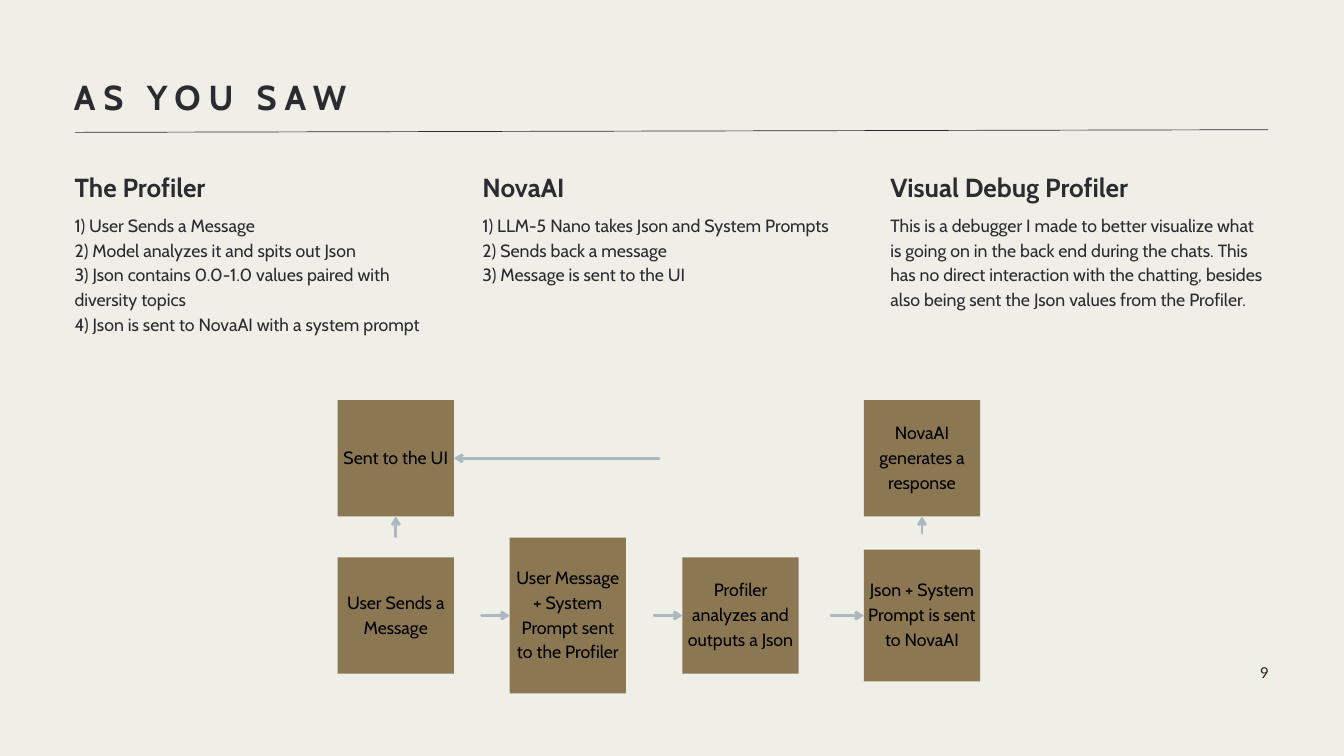
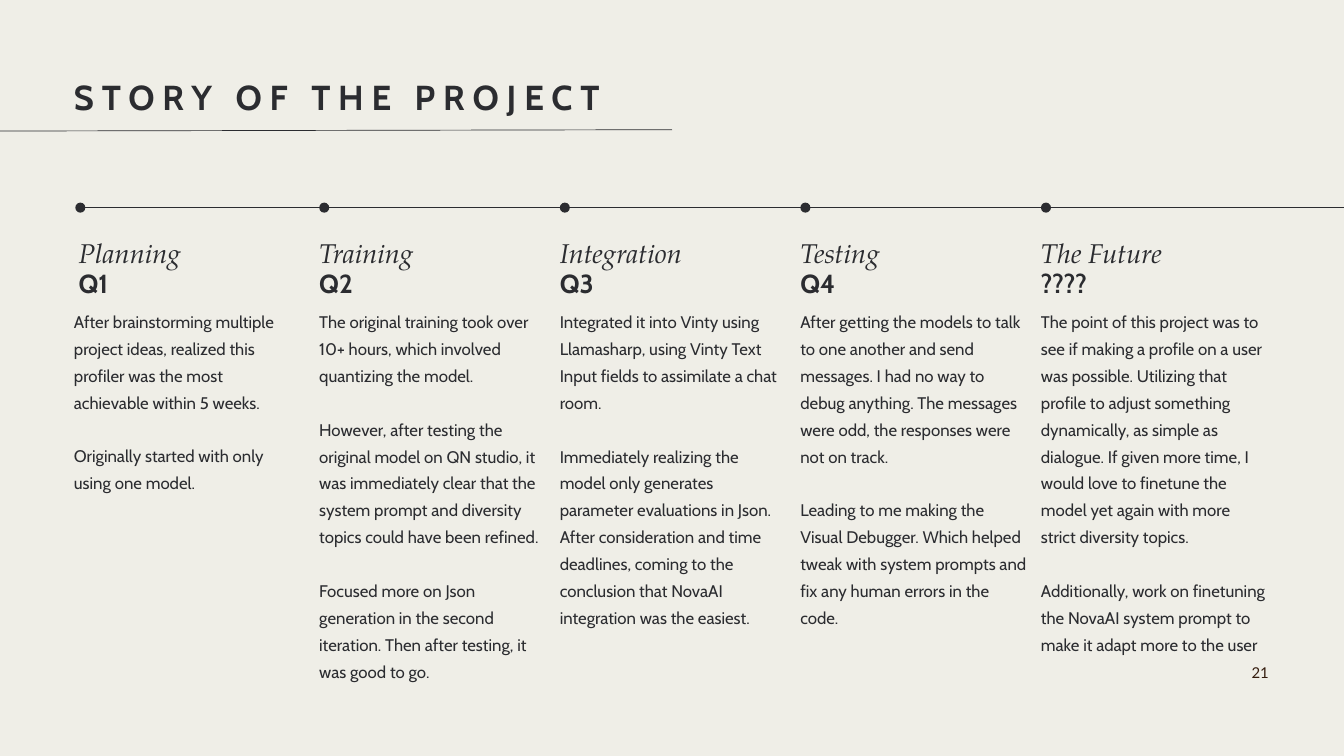
from lxml import etree
from pptx import Presentation
from pptx.dml.color import RGBColor
from pptx.enum.shapes import MSO_CONNECTOR as CONN, MSO_SHAPE as SHAPE
from pptx.enum.text import MSO_ANCHOR as ANCHOR, MSO_AUTO_SIZE as AUTO, PP_ALIGN as ALIGN
from pptx.oxml.ns import qn
from pptx.util import Inches, Pt

# The grid has 20 columns and 11.25 rows, each cell one inch square
COLS, ROWS = 20, 11.25
LEFT, RIGHT = 1.1, 18.87
RULE_START, RULE_END = 1.97, 1.93

PAPER, INK, BROWN, STEEL, NUMBER, BLACK = (
    "EFEEE7", "2B2C30", "8C7753", "ACB8C0", "331B0D", "000000")

# Text styles: font, size, line spacing, extras
TITLE = dict(font="Cabin", size=37.1, line=52, bold=True, track=840)
HEAD = dict(font="Cabin", size=28, line=39.2, bold=True)
NOTE = dict(font="Cabin", size=19, line=26.6)
STAGE = dict(font="TeX Gyre Pagella", size=29, line=34.8, italic=True)
QUARTER = dict(font="Cabin", size=28, line=33.6, bold=True)
STORY = dict(font="Cabin", size=18, line=28.8, gap=28.8)
PAGE = dict(font="Lato", size=16, line=22.4, color=NUMBER, align=ALIGN.RIGHT)
LABEL = dict(NOTE, color=BLACK, align=ALIGN.CENTER)

BOTTOM, LEFT_SIDE, RIGHT_SIDE = 2, 1, 3  # connection sites of a rectangle


def rgb(value):
    return RGBColor.from_string(value)


def cells(*values):
    return [Inches(v) for v in values]


def write(tf, text, font, size, line, color=INK, bold=False, italic=False,
          track=None, gap=0, align=ALIGN.LEFT):
    """Fill a text frame, one paragraph to a line of text."""
    tf.word_wrap = True
    tf.text = text
    for i, p in enumerate(tf.paragraphs):
        p.alignment = align
        p.line_spacing = Pt(line)
        if i and gap:
            p.space_before = Pt(gap)
        for r in p.runs:
            f = r.font
            f.name, f.size, f.bold, f.italic = font, Pt(size), bold, italic
            f.color.rgb = rgb(color)
            if track:
                r._r.get_or_add_rPr().set("spc", str(track))


def set_margins(tf, left, top, right, bottom):
    (tf.margin_left, tf.margin_top,
     tf.margin_right, tf.margin_bottom) = cells(left, top, right, bottom)


def add_text(s, col, row, width, height, text, style):
    tf = s.shapes.add_textbox(*cells(col, row, width, height)).text_frame
    set_margins(tf, 0, 0, 0, 0)
    write(tf, text, **style)
    tf.auto_size = AUTO.SHAPE_TO_FIT_TEXT


def add_solid(s, kind, col, row, width, height, color):
    sp = s.shapes.add_shape(kind, *cells(col, row, width, height))
    sp.shadow.inherit = False
    sp.fill.solid()
    sp.fill.fore_color.rgb = rgb(color)
    sp.line.fill.background()
    return sp


def add_line(s, x1, y1, x2, y2, color=INK, width=0.75):
    cx = s.shapes.add_connector(CONN.STRAIGHT, *cells(x1, y1, x2, y2))
    cx.line.color.rgb = rgb(color)
    cx.line.width = Pt(width)
    etree.SubElement(cx._element.spPr, qn("a:effectLst"))
    return cx


def add_step(s, center, middle, height, text, width=1.73):
    """A brown square of the flow, named by its centre."""
    sp = add_solid(s, SHAPE.RECTANGLE, center - width / 2, middle - height / 2,
                   width, height, BROWN)
    tf = sp.text_frame
    set_margins(tf, 0.06, 0.06, 0.06, 0.14)
    tf.vertical_anchor = ANCHOR.MIDDLE
    write(tf, text, **LABEL)
    return sp


def add_arrow(s, step, side, length):
    """An arrow of the given length that points straight at a side of a step."""
    x, y = step.left + step.width // 2, step.top + step.height // 2
    dx, dy = {BOTTOM: (0, 1), LEFT_SIDE: (-1, 0), RIGHT_SIDE: (1, 0)}[side]
    x += dx * (step.width // 2 + Inches(length))
    y += dy * (step.height // 2 + Inches(length))
    cx = add_line(s, x.inches if hasattr(x, "inches") else x / Inches(1),
                  y / Inches(1), x / Inches(1), y / Inches(1), STEEL, 3)
    cx.end_connect(step, side)
    ln = cx.line._get_or_add_ln()
    ln.set("cap", "rnd")
    etree.SubElement(ln, qn("a:tailEnd"), type="arrow")


def add_base(prs, title, number, rule):
    """Background, title, rule and page number shared by both slides."""
    s = prs.slides.add_slide(prs.slide_layouts[6])
    s.background.fill.solid()
    s.background.fill.fore_color.rgb = rgb(PAPER)
    add_text(s, LEFT, 1.03, 17.75, 0.71, title, TITLE)
    add_line(s, *rule)
    add_text(s, 13.89, 9.83, 4.99, 0.3, number, PAGE)
    return s


def build_flow(prs):
    s = add_base(prs, "AS YOU SAW", "9", (1.12, RULE_START, RIGHT, RULE_END))

    # Three text columns
    topics = [
        ("The Profiler", 2.17,
         "1) User Sends a Message\n"
         "2) Model analyzes it and spits out Json\n"
         "3) Json contains 0.0-1.0 values paired with diversity topics\n"
         "4) Json is sent to NovaAI with a system prompt"),
        ("NovaAI", 1.44,
         "1) LLM-5 Nano takes Json and System Prompts\n"
         "2) Sends back a message\n"
         "3) Message is sent to the UI"),
        ("Visual Debug Profiler", 1.8,
         "This is a debugger I made to better visualize what is going on in the "
         "back end during the chats. This has no direct interaction with the "
         "chatting, besides also being sent the Json values from the Profiler."),
    ]
    for i, (head, height, text) in enumerate(topics):
        col = 1.11 + 6.07 * i
        add_text(s, col, 2.47, 5.63, 0.52, head, HEAD)
        add_text(s, col, 3.14, 5.63, height, text, NOTE)

    # Flow of a message: lower row, then the two ends of the upper row
    first, last, upper, lower = 5.89, 13.72, 6.82, 9.16
    add_step(s, first, lower, 1.73, "User Sends a Message")
    to_profiler = add_step(s, 8.45, lower, 2.32,
                           "User Message + System Prompt sent to the Profiler")
    profiler = add_step(s, 11.02, lower, 1.73, "Profiler analyzes and outputs a Json")
    to_model = add_step(s, last, lower, 1.96, "Json + System Prompt is sent to NovaAI")
    ui = add_step(s, first, upper, 1.73, "Sent to the UI")
    response = add_step(s, last, upper, 1.73, "NovaAI generates a response")

    for step, side, length in [
            (to_profiler, LEFT_SIDE, 0.42), (profiler, LEFT_SIDE, 0.42),
            (to_model, LEFT_SIDE, 0.49), (ui, BOTTOM, 0.3),
            (response, BOTTOM, 0.25), (ui, RIGHT_SIDE, 3.05)]:
        add_arrow(s, step, side, length)


def build_timeline(prs):
    s = add_base(prs, "STORY OF THE PROJECT", "21", (0, 1.95, COLS / 2, RULE_END))

    # Axis and stages
    axis, dot, pitch = 3.09, 0.15, 3.58
    add_line(s, 1.23, axis, COLS, axis)
    stages = [
        ("Planning", "Q1", 2.74,
         "After brainstorming multiple project ideas, realized this profiler was "
         "the most achievable within 5 weeks.\n"
         "Originally started with only using one model."),
        ("Training", "Q2", 6.31,
         "The original training took over 10+ hours, which involved quantizing "
         "the model.\n"
         "However, after testing the original model on QN studio, it was "
         "immediately clear that the system prompt and diversity topics could "
         "have been refined.\n"
         "Focused more on Json generation in the second iteration. Then after "
         "testing, it was good to go."),
        ("Integration", "Q3", 5.12,
         "Integrated it into Vinty using Llamasharp, using Vinty Text Input "
         "fields to assimilate a chat room.\n"
         "Immediately realizing the model only generates parameter evaluations "
         "in Json. After consideration and time deadlines, coming to the "
         "conclusion that NovaAI integration was the easiest."),
        ("Testing", "Q4", 4.72,
         "After getting the models to talk to one another and send messages. I "
         "had no way to debug anything. The messages were odd, the responses "
         "were not on track.\n"
         "Leading to me making the Visual Debugger. Which helped tweak with "
         "system prompts and fix any human errors in the code."),
        ("The Future", "????", 5.91,
         "The point of this project was to see if making a profile on a user was "
         "possible. Utilizing that profile to adjust something dynamically, as "
         "simple as dialogue. If given more time, I would love to finetune the "
         "model yet again with more strict diversity topics.\n"
         "Additionally, work on finetuning the NovaAI system prompt to make it "
         "adapt more to the user"),
    ]
    for i, (stage, quarter, height, text) in enumerate(stages):
        col = 1.17 + pitch * i
        # The first dot and story line up with the title's left edge
        dot_col, text_col = (col, col) if i else (1.12, LEFT)
        add_solid(s, SHAPE.OVAL, dot_col, axis - dot / 2, dot, dot, INK)
        add_text(s, col, 3.52, 3.05, 0.47, stage, STAGE)
        add_text(s, col, 3.98, 3.05, 0.47, quarter, QUARTER)
        add_text(s, text_col, 4.54, 3.38, height, text, STORY)


def main():
    prs = Presentation()
    prs.slide_width, prs.slide_height = cells(COLS, ROWS)
    build_flow(prs)
    build_timeline(prs)
    prs.save("out.pptx")


if __name__ == "__main__":
    main()
